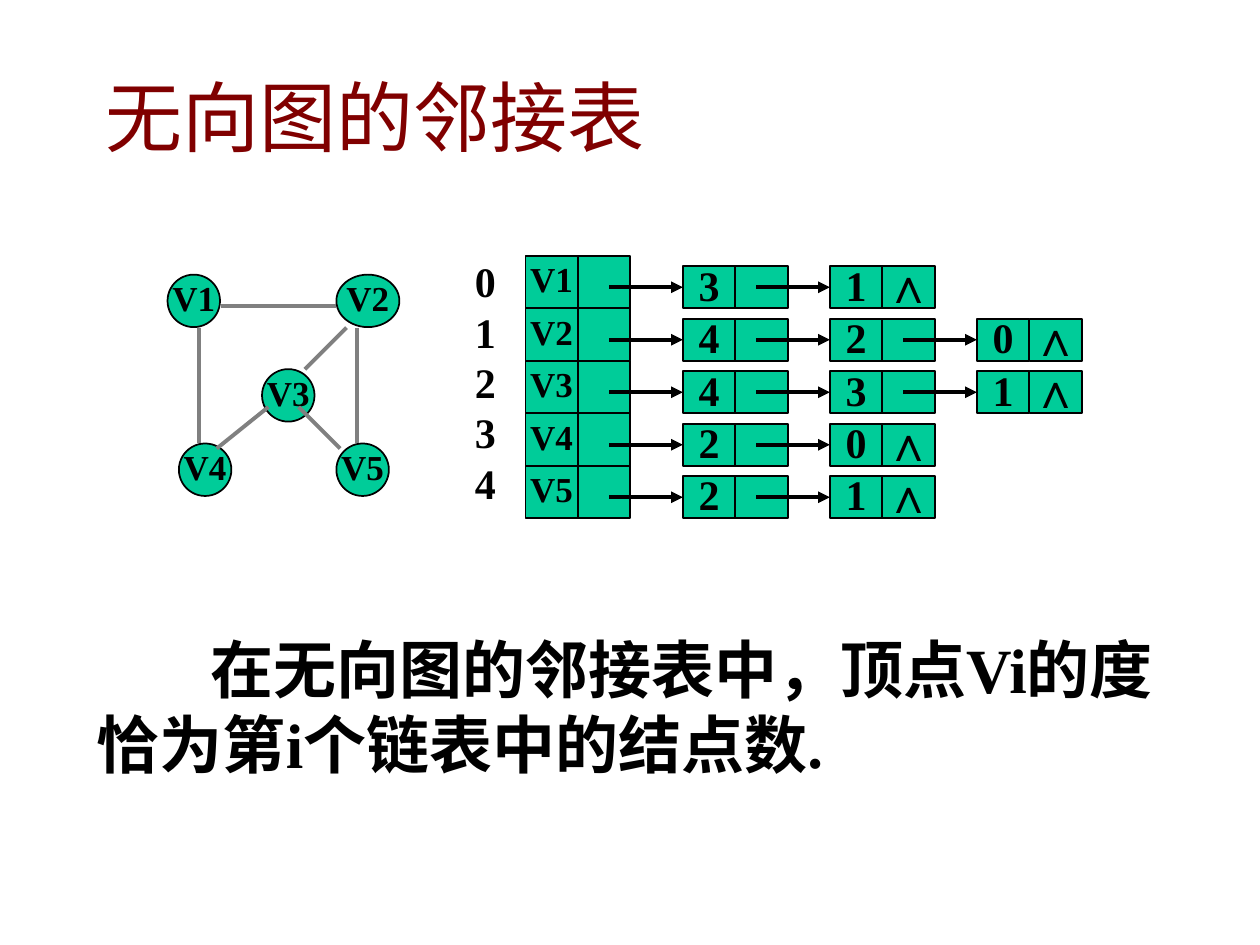
import pptx
import pptx.dml.color
import pptx.enum.shapes
import pptx.enum.text
import pptx.oxml
import pptx.oxml.ns
import pptx.util

TITLE = "无向图的邻接表"
SUMMARY = "在无向图的邻接表中，顶点Vi的度恰为第i个链表中的结点数."
ADJACENCY = [
    ("V1", ["3", "1"]),
    ("V2", ["4", "2", "0"]),
    ("V3", ["4", "3", "1"]),
    ("V4", ["2", "0"]),
    ("V5", ["2", "1"]),
]
NULL_MARK = "∧"

CELL = 5 / 12
VERTICES = [
    ("V1", 1.33, 2.18, CELL),
    ("V2", 2.67, 2.18, 0.5),
    ("V4", 1.42, 3.52, CELL),
    ("V3", 2.08, 2.93, CELL),
    ("V5", 2.67, 3.52, CELL),
]
EDGES = [
    (1.58, 2.6, 1.58, 3.52),
    (1.75, 2.43, 2.67, 2.43),
    (2.83, 2.6, 2.83, 3.52),
    (2.75, 2.6, 2.42, 2.93),
    (2.13, 3.23, 1.72, 3.56),
    (2.37, 3.23, 2.7, 3.56),
]

HEAD_LEFT, HEAD_TOP = 4.17, 2.03
NODE_LEFT, NODE_STEP = HEAD_LEFT + 3 * CELL, 2.8 * CELL
NODE_INSET, NODE_HEIGHT = 0.2 * CELL, 0.8 * CELL
ARROW_LENGTH = 1.4 * CELL

GREEN, BLACK, GRAY, MAROON = "00CC99", "000000", "808080", "800000"
SERIF = "Times New Roman"
SHAPE = pptx.enum.shapes.MSO_SHAPE
ANCHOR = pptx.enum.text.MSO_ANCHOR
ALIGN = pptx.enum.text.PP_ALIGN
inch = pptx.util.Inches


def rgb(color):
    return pptx.dml.color.RGBColor.from_string(color)


def write(frame, text, size, font=SERIF, color=BLACK, bold=True, align=ALIGN.LEFT,
          anchor=ANCHOR.TOP, wrap=False, inset_top=0, leading=None, indent=0):
    frame.word_wrap = wrap
    frame.vertical_anchor = anchor
    frame.margin_left = frame.margin_right = inch(0.1)
    frame.margin_top, frame.margin_bottom = inch(inset_top), inch(0.05)
    frame.text = text
    for paragraph in frame.paragraphs:
        paragraph.alignment = align
        if leading:
            paragraph.line_spacing = pptx.util.Pt(leading)
        if indent:
            paragraph._p.get_or_add_pPr().set("indent", str(inch(indent)))
        paragraph.font.name = font
        paragraph.font.size = pptx.util.Pt(size)
        paragraph.font.bold = bold
        paragraph.font.color.rgb = rgb(color)


def add_box(shapes, kind, left, top, width, height, text="", size=24, font=SERIF):
    box = shapes.add_shape(kind, inch(left), inch(top), inch(width), inch(height))
    box.shadow.inherit = False
    box.fill.solid()
    box.fill.fore_color.rgb = rgb(GREEN)
    box.line.color.rgb = rgb(BLACK)
    box.line.width = pptx.util.Pt(1)
    if text:
        write(box.text_frame, text, size, font, align=ALIGN.CENTER, anchor=ANCHOR.MIDDLE)
    return box


def add_line(shapes, x1, y1, x2, y2, color, arrow=False):
    line = shapes.add_connector(pptx.enum.shapes.MSO_CONNECTOR.STRAIGHT,
                                inch(x1), inch(y1), inch(x2), inch(y2))
    line.line.color.rgb = rgb(color)
    line.line.width = pptx.util.Pt(2.25)
    if arrow:
        tail = pptx.oxml.parse_xml(
            f'<a:tailEnd {pptx.oxml.ns.nsdecls("a")} type="triangle"/>')
        line.line._get_or_add_ln().append(tail)
    line._element.spPr.append(
        pptx.oxml.parse_xml(f'<a:effectLst {pptx.oxml.ns.nsdecls("a")}/>'))
    return line


def add_text(shapes, left, top, width, height, text, size, **style):
    area = shapes.add_textbox(inch(left), inch(top), inch(width), inch(height))
    write(area.text_frame, text, size, **style)


def add_adjacency_list(shapes, row, vertex, neighbours):
    top = HEAD_TOP + row * CELL
    add_box(shapes, SHAPE.RECTANGLE, HEAD_LEFT, top, CELL, CELL, vertex, 20)
    add_box(shapes, SHAPE.RECTANGLE, HEAD_LEFT + CELL, top, CELL, CELL)
    node_top = top + NODE_INSET
    middle = node_top + NODE_HEIGHT / 2
    pointers = []
    for column, neighbour in enumerate(neighbours):
        left = NODE_LEFT + column * NODE_STEP
        mark = NULL_MARK if column == len(neighbours) - 1 else ""
        node = add_box(shapes, SHAPE.RECTANGLE, left, node_top, CELL, NODE_HEIGHT, neighbour)
        add_box(shapes, SHAPE.RECTANGLE, left + CELL, node_top, CELL, NODE_HEIGHT,
                mark, 28, "Arial")
        pointers.append((left, node))
    for left, node in pointers:
        pointer = add_line(shapes, left - ARROW_LENGTH, middle, left, middle, BLACK, True)
        pointer.end_connect(node, 1)


def add_graph(shapes):
    graph = shapes.add_group_shape().shapes
    for vertex, left, top, width in VERTICES:
        add_box(graph, SHAPE.OVAL, left, top, width, CELL, vertex, 20)
    for edge in EDGES:
        add_line(graph, *edge, GRAY)


def main():
    deck = pptx.Presentation()
    deck.slide_width, deck.slide_height = inch(10), inch(7.5)
    shapes = deck.slides.add_slide(deck.slide_layouts[6]).shapes

    for row, (vertex, neighbours) in enumerate(ADJACENCY):
        add_adjacency_list(shapes, row, vertex, neighbours)
    indexes = "\n".join(str(row) for row in range(len(ADJACENCY)))
    add_text(shapes, 3.67, HEAD_TOP, CELL, 2.05, indexes, 24, wrap=True, leading=28.8)
    add_text(shapes, 0.67, 5, 8.92, 1.25, SUMMARY, 36, wrap=True, leading=43.2, indent=0.9)
    add_graph(shapes)
    add_text(shapes, 0.74, 0.5, 4.48, 0.84, TITLE, 44, font="Arial Narrow",
             color=MAROON, bold=False, inset_top=0.05, leading=52.8)
    deck.save("out.pptx")


if __name__ == "__main__":
    main()
